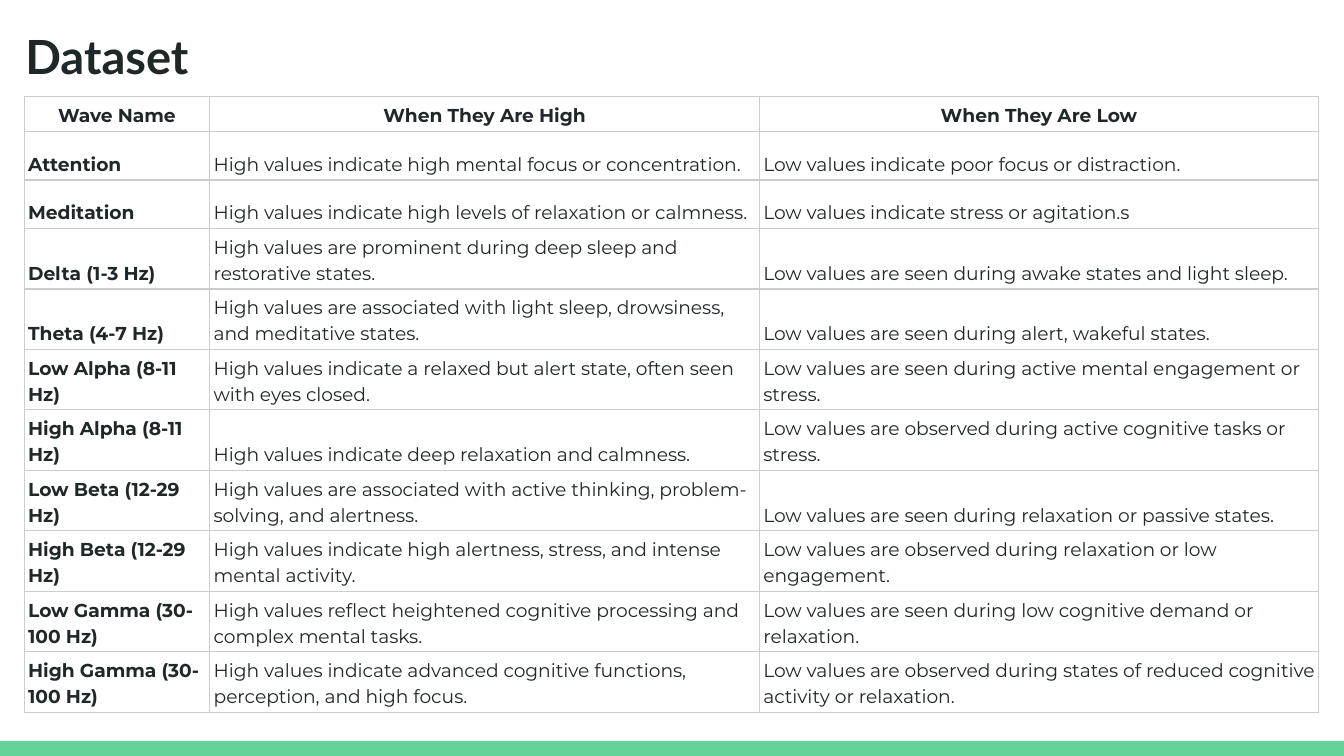
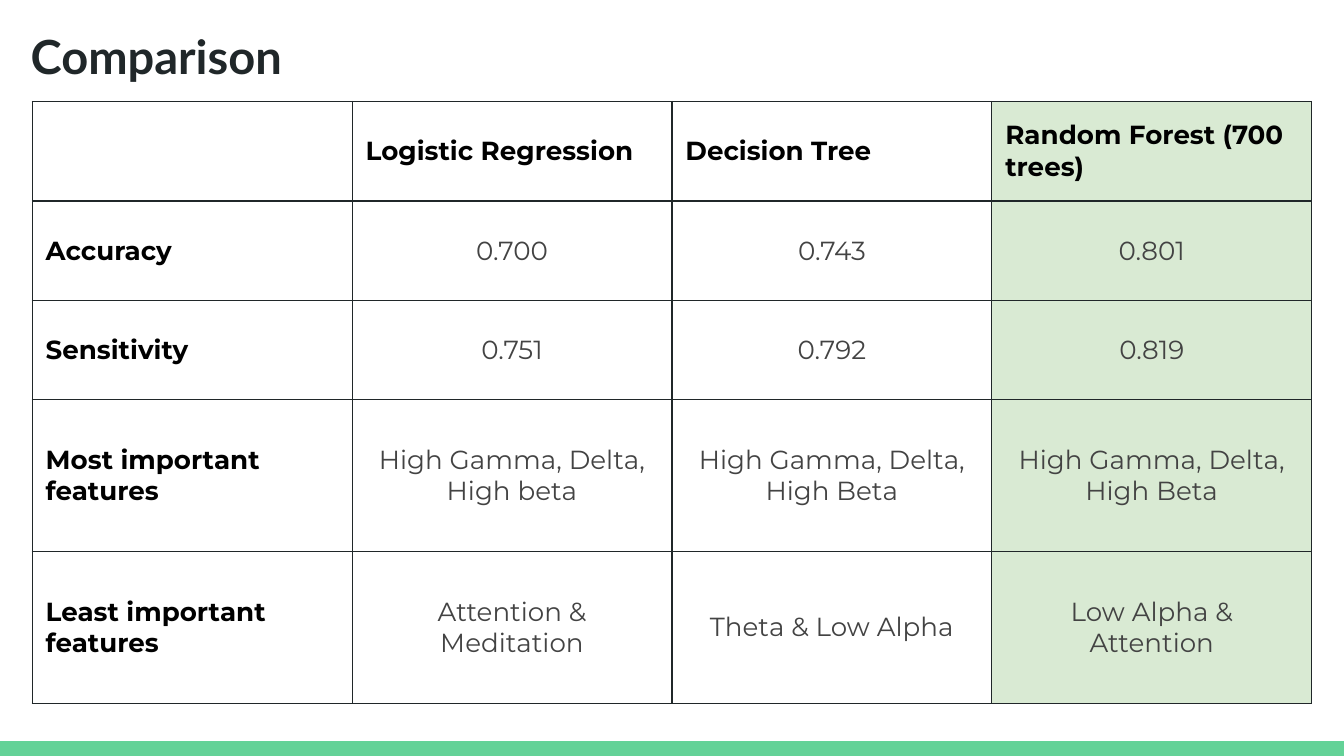
from lxml.etree import SubElement
from pptx import Presentation
from pptx.dml.color import RGBColor as RGB
from pptx.enum.shapes import MSO_SHAPE as SHAPE
from pptx.enum.text import MSO_ANCHOR as ANCHOR, PP_ALIGN as ALIGN
from pptx.oxml.ns import qn
from pptx.util import Inches, Pt

COLORS = {
    "ink": "202729", "black": "000000", "gray": "434343", "rule": "CCCCCC",
    "band": "63D297", "best": "D9EAD3", "paper": "FFFFFF",
}
W = Inches(10)
H = W * 9 // 16
COL = W / 100
ROWS = H / COL
BAND_ROWS = 1.1
TITLE_BOX = (0.9, 1, 93.2, 6.3)
TITLE_FONT = {"name": "Lato", "size": Pt(25.2), "bold": True}

WAVES = [
    ("Wave Name", "When They Are High", "When They Are Low"),
    ("Attention",
     "High values indicate high mental focus or concentration.",
     "Low values indicate poor focus or distraction."),
    ("Meditation",
     "High values indicate high levels of relaxation or calmness.",
     "Low values indicate stress or agitation.s"),
    ("Delta (1-3 Hz)",
     "High values are prominent during deep sleep and restorative states.",
     "Low values are seen during awake states and light sleep."),
    ("Theta (4-7 Hz)",
     "High values are associated with light sleep, drowsiness, and meditative states.",
     "Low values are seen during alert, wakeful states."),
    ("Low Alpha (8-11 Hz)",
     "High values indicate a relaxed but alert state, often seen with eyes closed.",
     "Low values are seen during active mental engagement or stress."),
    ("High Alpha (8-11 Hz)",
     "High values indicate deep relaxation and calmness.",
     "Low values are observed during active cognitive tasks or stress."),
    ("Low Beta (12-29 Hz)",
     "High values are associated with active thinking, problem-solving, and alertness.",
     "Low values are seen during relaxation or passive states."),
    ("High Beta (12-29 Hz)",
     "High values indicate high alertness, stress, and intense mental activity.",
     "Low values are observed during relaxation or low engagement."),
    ("Low Gamma (30-100 Hz)",
     "High values reflect heightened cognitive processing and complex mental tasks.",
     "Low values are seen during low cognitive demand or relaxation."),
    ("High Gamma (30-100 Hz)",
     "High values indicate advanced cognitive functions, perception, and high focus.",
     "Low values are observed during states of reduced cognitive activity or relaxation."),
]
MODELS = [
    ("", "Logistic Regression", "Decision Tree", "Random Forest (700 trees)"),
    ("Accuracy", "0.700", "0.743", "0.801"),
    ("Sensitivity", "0.751", "0.792", "0.819"),
    ("Most important features", "High Gamma, Delta, High beta",
     "High Gamma, Delta, High Beta", "High Gamma, Delta, High Beta"),
    ("Least important features", "Attention & Meditation",
     "Theta & Low Alpha", "Low Alpha & Attention"),
]


def u(n):
    return round(n * COL)


def rgb(key):
    return RGB.from_string(COLORS[key])


def apply(obj, values):
    for name, value in values.items():
        setattr(obj, name, value)


def margins(size):
    return {f"margin_{side}": u(size) for side in ("left", "right", "top", "bottom")}


def write(p, text, font, color, **para):
    apply(p, para)
    if text:
        r = p.add_run()
        r.text = text
        apply(r.font, font)
        r.font.color.rgb = rgb(color)


def borders(cell, color):
    tcPr = cell._tc.get_or_add_tcPr()
    for side in "LRTB":
        ln = SubElement(tcPr, qn(f"a:ln{side}"), w=str(Pt(0.75)))
        SubElement(SubElement(ln, qn("a:solidFill")), qn("a:srgbClr"), val=COLORS[color])


def add_band(s, x, y, w, h):
    sp = s.shapes.add_shape(SHAPE.RECTANGLE, u(x), u(y), u(w), u(h))
    sp.shadow.inherit = False
    sp.fill.solid()
    sp.fill.fore_color.rgb = rgb("band")
    sp.line.fill.background()


def add_title(s, text, x, y, w, h):
    tf = s.shapes.add_textbox(u(x), u(y), u(w), u(h)).text_frame
    apply(tf, {"word_wrap": True, "vertical_anchor": ANCHOR.MIDDLE, **margins(1)})
    write(tf.paragraphs[0], text, TITLE_FONT, "ink")


def add_grid(s, x, y, cols, rows, data, line, cell_format, style):
    frame = s.shapes.add_table(len(rows), len(cols), u(x), u(y), u(sum(cols)), u(sum(rows)))
    tbl = frame.table
    apply(tbl, {"first_row": False, "horz_banding": False})
    for column, width in zip(tbl.columns, cols):
        column.width = u(width)
    for row, height in zip(tbl.rows, rows):
        row.height = u(height)
    for i, texts in enumerate(data):
        for j, text in enumerate(texts):
            cell = tbl.cell(i, j)
            font, color, para, fill = style(i, j)
            apply(cell, cell_format)
            borders(cell, line)
            if fill:
                cell.fill.solid()
                cell.fill.fore_color.rgb = rgb(fill)
            else:
                cell.fill.background()
            write(cell.text_frame.paragraphs[0], text, font, color, **para)


def wave_style(i, j):
    font = {"name": "Montserrat", "size": Pt(10), "bold": i == 0 or j == 0}
    para = {"alignment": ALIGN.LEFT if i else ALIGN.CENTER, "line_spacing": 1.15}
    return font, "ink", para, None


def model_style(i, j):
    label = i == 0 or j == 0
    font = {"name": "Montserrat", "size": Pt(14), "bold": label}
    para = {"alignment": ALIGN.LEFT if label else ALIGN.CENTER}
    return font, "black" if label else "gray", para, "best" if j == 3 else None


def base_slide(prs, title, shift=0):
    s = prs.slides.add_slide(prs.slide_layouts[6])
    s.background.fill.solid()
    s.background.fill.fore_color.rgb = rgb("paper")
    add_band(s, 0, ROWS - BAND_ROWS, 100, BAND_ROWS)
    x, *rest = TITLE_BOX
    add_title(s, title, x + shift, *rest)
    return s


def dataset_slide(prs):
    s = base_slide(prs, "Dataset")
    add_grid(s, 1.8, 7.2, [13.8, 40.9, 41.6], [2.6] + [3.6] * 2 + [4.5] * 8, WAVES, "rule",
             {"vertical_anchor": ANCHOR.BOTTOM, **margins(0.3)}, wave_style)


def comparison_slide(prs):
    s = base_slide(prs, "Comparison", 0.4)
    add_grid(s, 2.4, 7.55, [23.8] * 4, [7.4] * 3 + [11.3] * 2, MODELS, "ink",
             {"vertical_anchor": ANCHOR.MIDDLE, **margins(1)}, model_style)


def main():
    prs = Presentation()
    apply(prs, {"slide_width": W, "slide_height": H})
    dataset_slide(prs)
    comparison_slide(prs)
    prs.save("out.pptx")


if __name__ == "__main__":
    main()
